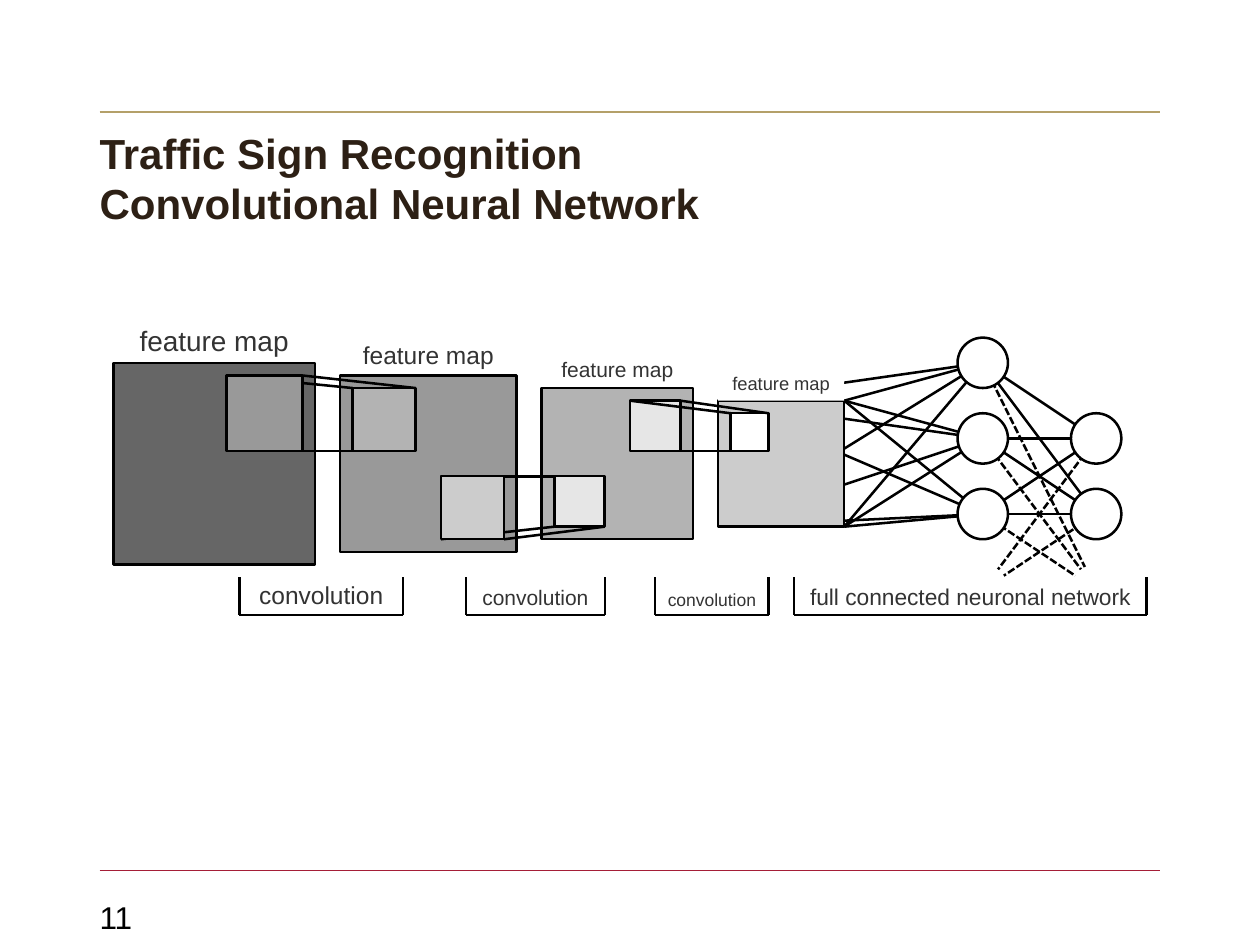
from itertools import product

from lxml.etree import SubElement
from pptx import Presentation
from pptx.dml.color import RGBColor
from pptx.enum.dml import MSO_LINE_DASH_STYLE as Dash
from pptx.enum.shapes import MSO_CONNECTOR as Connector, MSO_SHAPE as Shape
from pptx.enum.text import MSO_ANCHOR as Anchor, PP_ALIGN as Align
from pptx.oxml.ns import qn
from pptx.util import Cm, Pt

THEME = {
    "font": "Arial",
    "title": "2D2015", "label": "333333", "ink": "000000", "paper": "FFFFFF",
    "top_rule": "B4A069", "bottom_rule": "A51E37",
    "title_size": 24, "number_size": 18,
    "stroke": 1.45, "rule": 0.75,
}

# Positions and sizes are in grid units of 2.54 cm.
GRID = 2.54
SLIDE = (10, 7.5)
MARGIN, CONTENT_WIDTH = 0.79, 8.42
TITLE = "Traffic Sign Recognition\vConvolutional Neural Network"
PAGE_NUMBER = "11"
RULES = [(0.89, "top_rule"), (6.91, "bottom_rule")]

# left, top, side, fill, label size, label background
MAP_LABEL = "feature map"
MAPS = [
    (0.9, 2.88, 1.6, "666666", 16, None),
    (2.7, 2.98, 1.4, "999999", 14, None),
    (4.3, 3.08, 1.2, "B3B3B3", 12, None),
    (5.7, 3.18, 1.0, "CCCCCC", 10.5, THEME["paper"]),
]

# window and result as left, top, side, fill; slanting edge; window in front
STAGES = [
    ((1.8, 2.98, 0.6, "999999"), (2.8, 3.08, 0.5, "B3B3B3"), "top", True),
    ((3.5, 3.78, 0.5, "CCCCCC"), (4.4, 3.78, 0.4, "E6E6E6"), "bottom", True),
    ((5.0, 3.18, 0.4, "E6E6E6"), (5.8, 3.28, 0.3, "FFFFFF"), "top", False),
]

# left, right, text, size
BRACKET_TOP, BRACKET_BOTTOM = 4.58, 4.88
BRACKETS = [
    (1.9, 3.2, "convolution", 14),
    (3.7, 4.8, "convolution", 12),
    (5.2, 6.1, "convolution", 10),
    (6.3, 9.1, "full connected neuronal network", 13),
]

# Neuron centres; the last of each layer only hints at further neurons.
NEURON_SIZE = 0.4
HIDDEN = [(7.8, y) for y in (2.88, 3.48, 4.08, 4.68)]
OUTPUT = [(8.7, y) for y in (3.48, 4.08, 4.68)]

deck = Presentation()
deck.slide_width, deck.slide_height = (Cm(n * GRID) for n in SLIDE)
page = deck.slides.add_slide(deck.slide_layouts[6])


def grid(*values):
    return [Cm(value * GRID) for value in values]


def rgb(color):
    return RGBColor.from_string(color)


def add_line(start, end, color=THEME["ink"], width=THEME["stroke"], dashed=False):
    line = page.shapes.add_connector(Connector.STRAIGHT, *grid(*start, *end))
    line.line.color.rgb = rgb(color)
    line.line.width = Pt(width)
    if dashed:
        line.line.dash_style = Dash.SQUARE_DOT
    SubElement(line._element.spPr, qn("a:effectLst"))


def add_figure(kind, left, top, side, fill, outlined=True):
    figure = page.shapes.add_shape(kind, *grid(left, top, side, side))
    figure.shadow.inherit = False
    figure.fill.solid()
    figure.fill.fore_color.rgb = rgb(fill)
    if outlined:
        figure.line.color.rgb = rgb(THEME["ink"])
        figure.line.width = Pt(THEME["stroke"])
    else:
        figure.line.fill.background()


def add_text(text, left, top, width, height, size, color, *, bold=False,
             align=Align.LEFT, anchor=Anchor.TOP, insets=(0, 0), fill=None):
    box = page.shapes.add_textbox(*grid(left, top, width, height))
    if fill:
        box.fill.solid()
        box.fill.fore_color.rgb = rgb(fill)
    side, end = grid(*insets)
    frame = box.text_frame
    frame_format = {"word_wrap": True, "vertical_anchor": anchor,
                    "margin_left": side, "margin_right": side,
                    "margin_top": end, "margin_bottom": end}
    for name, value in frame_format.items():
        setattr(frame, name, value)
    para = frame.paragraphs[0]
    para.text = text
    para.alignment = align
    font_format = {"name": THEME["font"], "size": Pt(size), "bold": bold}
    for span in para.runs:
        for name, value in font_format.items():
            setattr(span.font, name, value)
        span.font.color.rgb = rgb(color)


def add_label(text, left, bottom, width, size, fill=None):
    """Place a centred one-line label that rests on the given bottom edge."""
    height = size * 1.15 / 72 + 0.1
    add_text(text, left, bottom - height, width, height, size, THEME["label"],
             align=Align.CENTER, anchor=Anchor.BOTTOM, insets=(0.1, 0.05), fill=fill)


def corners(left, top, side, *_):
    return {(edge, end): (x, y)
            for edge, y in (("top", top), ("bottom", top + side))
            for end, x in (("left", left), ("right", left + side))}


def add_projection(window, result, slanting):
    """Join a window to its result: two slanting lines and one level line."""
    level = "bottom" if slanting == "top" else "top"
    source, target = corners(*window), corners(*result)
    for end in ("left", "right"):
        add_line(source[slanting, end], target[slanting, end])
    add_line(source[level, "right"], target[level, "left"])


def add_network():
    for corner, neuron in product(corners(*MAPS[-1]).values(), HIDDEN[:-1]):
        add_line(corner, neuron)
    for hidden, output in product(HIDDEN, OUTPUT):
        hints = (hidden == HIDDEN[-1]) + (output == OUTPUT[-1])
        if hints < 2:
            add_line(hidden, output, dashed=hints == 1)
    for layer in (HIDDEN, OUTPUT):
        for x, y in reversed(layer):
            add_figure(Shape.OVAL, x - NEURON_SIZE / 2, y - NEURON_SIZE / 2,
                       NEURON_SIZE, THEME["paper"], outlined=(x, y) != layer[-1])


for y, rule in RULES:
    add_line((MARGIN, y), (MARGIN + CONTENT_WIDTH, y), THEME[rule], THEME["rule"])
add_text(TITLE, MARGIN, 1.01, CONTENT_WIDTH, 0.8, THEME["title_size"],
         THEME["title"], bold=True, anchor=Anchor.BOTTOM)

add_network()
for left, top, side, fill, size, background in MAPS:
    add_figure(Shape.RECTANGLE, left, top, side, fill)
    add_label(MAP_LABEL, left, top, side, size, background)

for window, result, slanting, window_in_front in STAGES:
    add_figure(Shape.RECTANGLE, *result)
    if window_in_front:
        add_projection(window, result, slanting)
    add_figure(Shape.RECTANGLE, *window)
    if not window_in_front:
        add_projection(window, result, slanting)

for left, right, text, size in BRACKETS:
    add_line((right, BRACKET_BOTTOM), (left, BRACKET_BOTTOM))
    for x in (right, left):
        add_line((x, BRACKET_TOP), (x, BRACKET_BOTTOM))
    add_label(text, left, BRACKET_BOTTOM + 0.01, right - left, size)

add_text(PAGE_NUMBER, MARGIN, 7.13, CONTENT_WIDTH, 0.3, THEME["number_size"],
         THEME["ink"])

deck.save("out.pptx")
